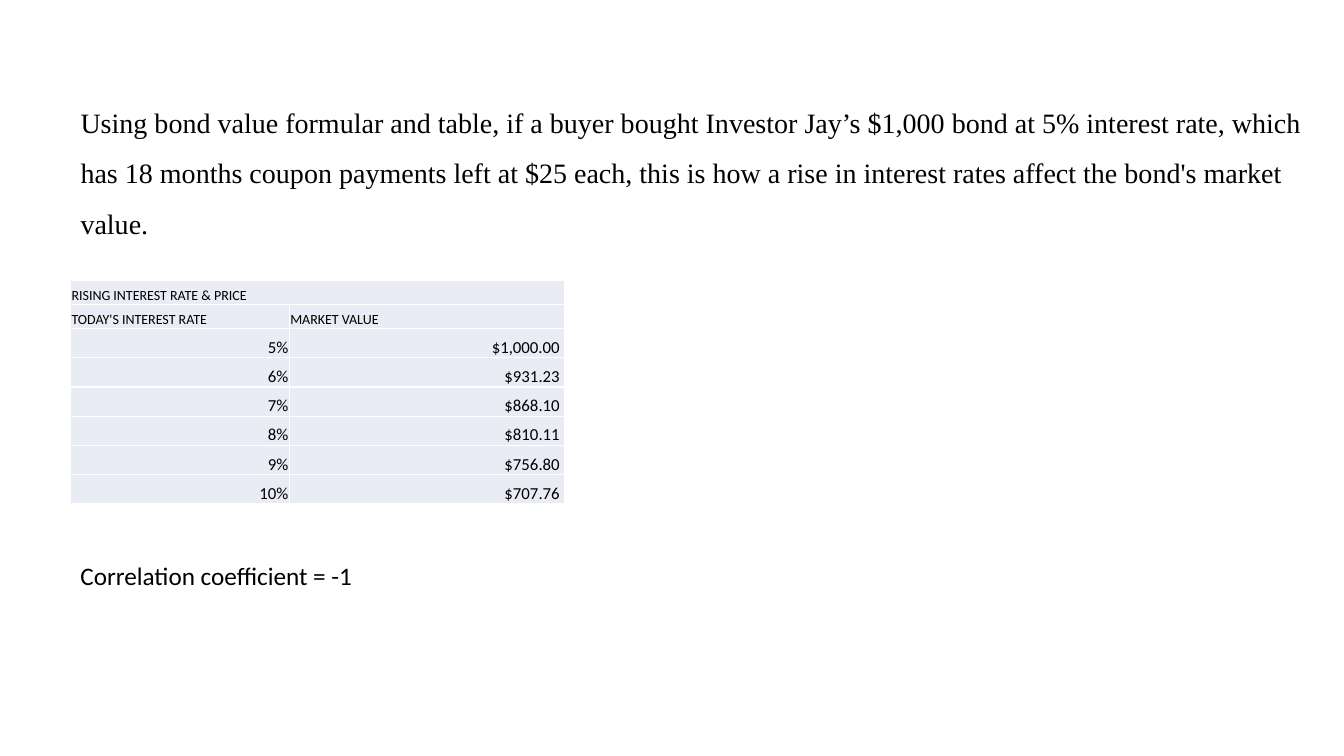
from dataclasses import dataclass

import pptx
import pptx.dml.color
import pptx.enum.text
import pptx.oxml
import pptx.oxml.ns
import pptx.util

Inches = pptx.util.Inches
Align = pptx.enum.text.PP_ALIGN


@dataclass(frozen=True)
class Theme:
    ink: str = "000000"
    cell: str = "E9EBF5"
    border: str = "FFFFFF"
    serif: str = "Times New Roman"
    sans: str = "Calibri"
    intro_size: int = 20
    note_size: int = 18
    value_size: int = 12
    heading_size: int = 10


THEME = Theme()
INTRO = (
    "Using bond value formular and table, if a buyer bought Investor Jay’s $1,000 bond "
    "at 5% interest rate, which has 18 months coupon payments left at $25 each, this is "
    "how a rise in interest rates affect the bond's market value."
)
TABLE_TITLE = "RISING INTEREST RATE & PRICE"
COLUMN_HEADINGS = ("TODAY'S INTEREST RATE", "MARKET VALUE")
MARKET_VALUES = {5: 1000.00, 6: 931.23, 7: 868.10, 8: 810.11, 9: 756.80, 10: 707.76}
COLUMN_WIDTHS = (2.17, 2.73)
HEADING_HEIGHT = 0.24
VALUE_HEIGHT = 0.29
LEFT = 0.7


def color(value):
    return pptx.dml.color.RGBColor.from_string(value)


def write_text(frame, text, size, font=THEME.sans, align=Align.LEFT, spacing=1.0):
    paragraph = frame.paragraphs[0]
    paragraph.alignment = align
    paragraph.line_spacing = spacing
    run = paragraph.add_run()
    run.text = text
    run.font.size = pptx.util.Pt(size)
    run.font.name = font
    run.font.color.rgb = color(THEME.ink)


def add_text(slide, text, left, top, width, height, **text_format):
    box = slide.shapes.add_textbox(*map(Inches, (left, top, width, height)))
    box.text_frame.word_wrap = True
    write_text(box.text_frame, text, **text_format)


def add_borders(cell):
    properties = cell._tc.get_or_add_tcPr()
    for index, side in enumerate(("lnL", "lnR", "lnT", "lnB")):
        line = pptx.oxml.parse_xml(
            f'<a:{side} {pptx.oxml.ns.nsdecls("a")} w="12700"><a:solidFill>'
            f'<a:srgbClr val="{THEME.border}"/></a:solidFill></a:{side}>'
        )
        properties.insert(index, line)


def style_cell(cell):
    cell.margin_left = cell.margin_right = cell.margin_top = Inches(0.01)
    cell.margin_bottom = 0
    cell.vertical_anchor = pptx.enum.text.MSO_ANCHOR.BOTTOM
    cell.fill.solid()
    cell.fill.fore_color.rgb = color(THEME.cell)
    add_borders(cell)


def add_bond_table(slide, left, top):
    value_rows = [(f"{rate}%", f"${value:,.2f} ") for rate, value in MARKET_VALUES.items()]
    rows = [(TABLE_TITLE, ""), COLUMN_HEADINGS, *value_rows]
    heights = [HEADING_HEIGHT] * 2 + [VALUE_HEIGHT] * len(value_rows)
    frame = slide.shapes.add_table(
        len(rows), len(COLUMN_WIDTHS), Inches(left), Inches(top),
        Inches(sum(COLUMN_WIDTHS)), Inches(sum(heights)),
    )
    table = frame.table
    for column, width in zip(table.columns, COLUMN_WIDTHS):
        column.width = Inches(width)
    for row_index, (texts, height) in enumerate(zip(rows, heights)):
        table.rows[row_index].height = Inches(height)
        is_heading = row_index < 2
        size = THEME.heading_size if is_heading else THEME.value_size
        align = Align.LEFT if is_heading else Align.RIGHT
        for column_index, text in enumerate(texts):
            cell = table.cell(row_index, column_index)
            style_cell(cell)
            if text:
                write_text(cell.text_frame, text, size=size, align=align)
    table.cell(0, 0).merge(table.cell(0, 1))


def main():
    presentation = pptx.Presentation()
    presentation.slide_width = Inches(13.33)
    presentation.slide_height = Inches(7.5)
    slide = presentation.slides.add_slide(presentation.slide_layouts[6])
    add_text(slide, INTRO, LEFT, 0.83, 12.39, 1.56,
             size=THEME.intro_size, font=THEME.serif, spacing=1.5)
    add_bond_table(slide, LEFT, 2.78)
    add_text(slide, "Correlation coefficient = -1", LEFT, 5.51, 4.04, 0.4,
             size=THEME.note_size)
    presentation.save("out.pptx")


if __name__ == "__main__":
    main()
